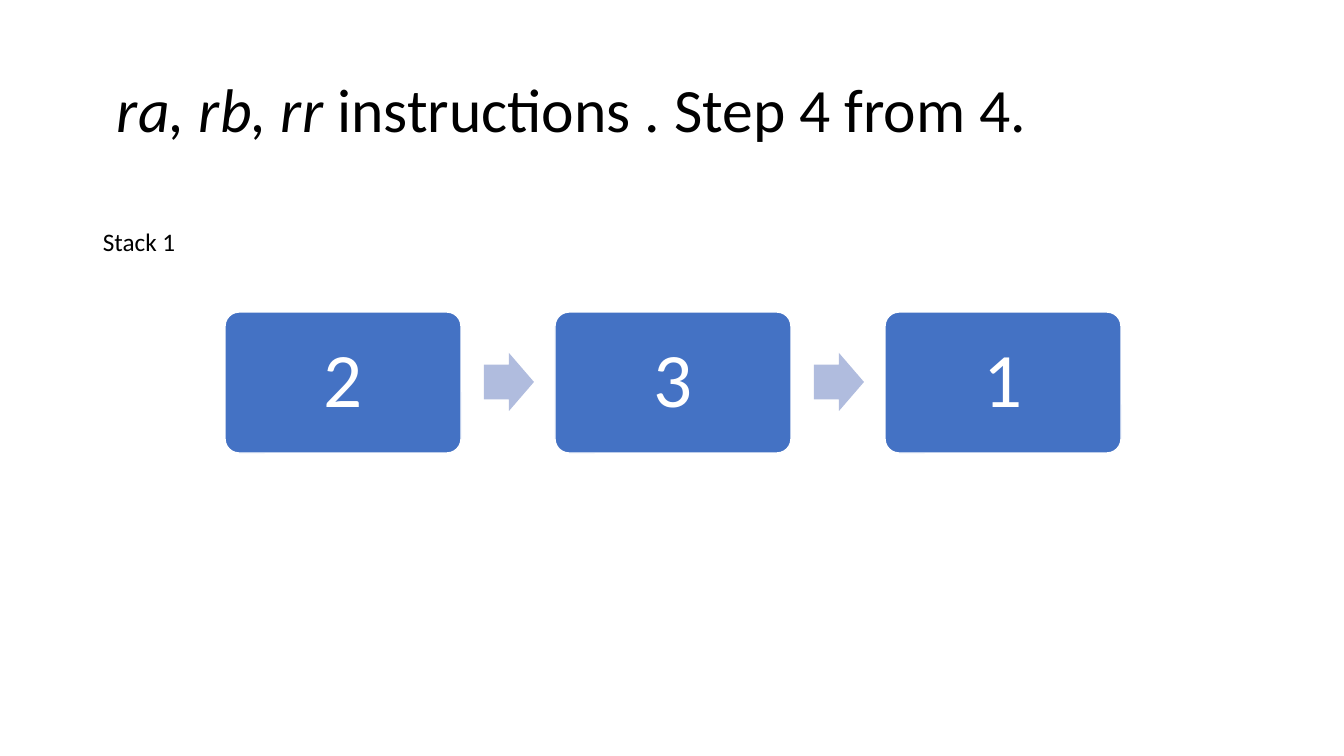
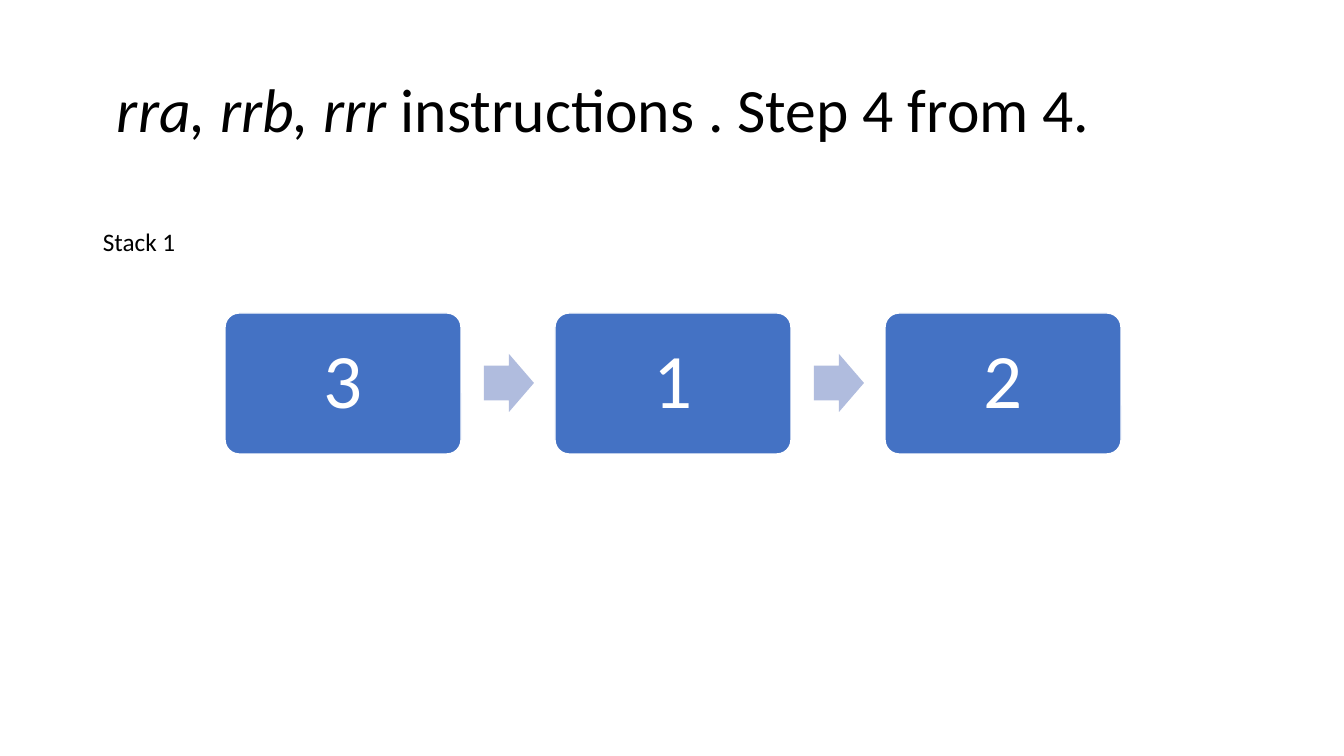
from pptx import Presentation, util as u
from pptx.dml.color import RGBColor
from pptx.enum import shapes, text

PAGE_WIDTH, PAGE_HEIGHT = 1344, 756
EMU_PER_PX = u.Emu(12192000) / PAGE_WIDTH


def px(length):
    return u.Emu(round(length * EMU_PER_PX))


def colour(hex_text):
    return RGBColor.from_string(hex_text)


class StackDeck:
    """Holds the shared style, the deck and the current page."""

    FONT = "Calibri"
    INK, PAPER, BLUE, PALE_BLUE = "000000", "FFFFFF", "4472C4", "B0BCDE"
    TITLE_ONLY = 5
    CELL_LEFT, CELL_WIDTH, CELL_HEIGHT, CELL_PITCH = 225, 236, 141, 330
    ARROW_GAP, ARROW_WIDTH, ARROW_HEIGHT = 23, 50, 58

    def __init__(self):
        self.deck = Presentation()
        self.deck.slide_width = px(PAGE_WIDTH)
        self.deck.slide_height = px(PAGE_HEIGHT)
        self.page = None

    def add_text(self, para, words, size=18, ink=INK, italic=False):
        span = para.add_run()
        span.text = words
        span.font.name = self.FONT
        span.font.size = u.Pt(size)
        span.font.italic = italic
        span.font.color.rgb = colour(ink)

    def add_page(self, commands):
        """Start a page whose title names the commands in italics."""
        layout = self.deck.slide_layouts[self.TITLE_ONLY]
        self.page = self.deck.slides.add_slide(layout)
        title = self.page.shapes.title
        title.left, title.top = px(93), px(40)
        title.width, title.height = px(1159), px(146)
        frame = title.text_frame
        frame.auto_size = text.MSO_AUTO_SIZE.NONE
        frame.vertical_anchor = text.MSO_ANCHOR.MIDDLE
        para = frame.paragraphs[0]
        para.alignment = text.PP_ALIGN.LEFT
        para.line_spacing = 0.9
        self.add_text(para, " ", size=44)
        self.add_text(para, commands, size=44, italic=True)
        self.add_text(para, " instructions . Step 4 from 4.", size=44)

    def add_label(self, words):
        box = self.page.shapes.add_textbox(px(93), px(221), px(101), px(40))
        box.text_frame.word_wrap = True
        self.add_text(box.text_frame.paragraphs[0], words)

    def add_block(self, kind, left, top, width, height, fill, adjustments):
        """Add a filled preset shape without an outline or shadow."""
        block = self.page.shapes.add_shape(
            kind, px(left), px(top), px(width), px(height))
        block.shadow.inherit = False
        block.fill.solid()
        block.fill.fore_color.rgb = colour(fill)
        block.line.fill.background()
        for index, value in enumerate(adjustments):
            block.adjustments[index] = value
        return block

    def add_cell(self, value, left, top):
        cell = self.add_block(
            shapes.MSO_SHAPE.ROUNDED_RECTANGLE, left, top,
            self.CELL_WIDTH, self.CELL_HEIGHT, self.BLUE, [0.1])
        cell.line.color.rgb = colour(self.PAPER)
        cell.line.width = u.Pt(1)
        frame = cell.text_frame
        frame.vertical_anchor = text.MSO_ANCHOR.MIDDLE
        para = frame.paragraphs[0]
        para.alignment = text.PP_ALIGN.CENTER
        para.line_spacing = 0.9
        self.add_text(para, value, size=55, ink=self.PAPER)

    def add_arrow(self, left, top):
        self.add_block(
            shapes.MSO_SHAPE.RIGHT_ARROW, left, top,
            self.ARROW_WIDTH, self.ARROW_HEIGHT, self.PALE_BLUE, [0.6, 0.5])

    def add_stack(self, values, top):
        """Add a row of cells with an arrow between neighbours."""
        arrow_top = top + (self.CELL_HEIGHT - self.ARROW_HEIGHT) // 2
        for index, value in enumerate(values):
            left = self.CELL_LEFT + index * self.CELL_PITCH
            if index:
                arrow_left = (left - self.CELL_PITCH + self.CELL_WIDTH
                              + self.ARROW_GAP)
                self.add_arrow(arrow_left, arrow_top)
            self.add_cell(value, left, top)


def main():
    stacks = StackDeck()
    for commands, values, top in (("ra, rb, rr", "231", 312),
                                  ("rra, rrb, rrr", "312", 313)):
        stacks.add_page(commands)
        stacks.add_stack(values, top)
        stacks.add_label("Stack 1")
    stacks.deck.save("out.pptx")


if __name__ == "__main__":
    main()
